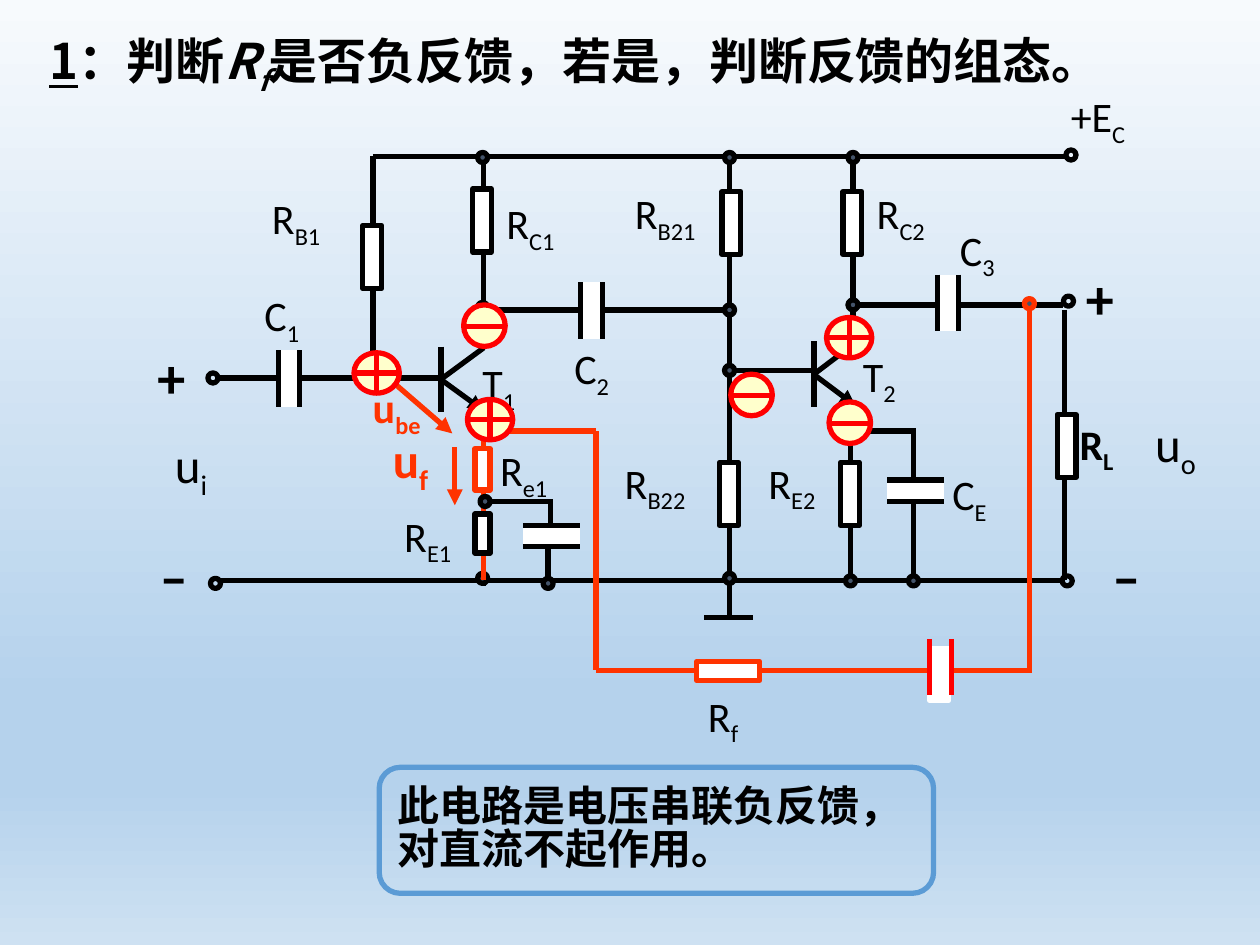
from copy import deepcopy
from pptx import Presentation
from pptx.dml.color import RGBColor
from pptx.enum.shapes import MSO_CONNECTOR, MSO_SHAPE as Kind
from pptx.enum.text import MSO_ANCHOR as Anchor, MSO_AUTO_SIZE as AutoSize, PP_ALIGN as Align
from pptx.oxml.ns import qn
from pptx.util import Inches, Pt
from lxml.etree import SubElement

rgb = RGBColor.from_string
BLACK, WHITE, ORANGE, RED = "000000", "FFFFFF", "FF3300", "FF0000"
SLATE, CREAM, BLUE = "44546A", "FFFFCC", "5B9BD5"
LATIN, CHINESE = "Calibri", "Noto Sans CJK SC"

deck = Presentation()
deck.slide_width, deck.slide_height = Inches(10), Inches(7.5)
COL, ROW = deck.slide_width // 1000, deck.slide_height // 750
slide = deck.slides.add_slide(deck.slide_layouts[5])
shapes = slide.shapes


def wire(x1, y1, x2, y2, color=BLACK, arrow=False):
    line = shapes.add_connector(MSO_CONNECTOR.STRAIGHT, x1 * COL, y1 * ROW, x2 * COL, y2 * ROW)
    line.line.width = Pt(3)
    line.line.color.rgb = rgb(color)
    if arrow:
        SubElement(line._element.spPr.find(qn("a:ln")), qn("a:tailEnd"), type="triangle")
    SubElement(line._element.spPr, qn("a:effectLst"))


def part(kind, x, y, w, h, fill=WHITE, color=BLACK):
    body = shapes.add_shape(kind, x * COL, y * ROW, w * COL, h * ROW)
    body.shadow.inherit = False
    if fill:
        body.fill.solid()
        body.fill.fore_color.rgb = rgb(fill)
    else:
        body.fill.background()
    body.line.width = Pt(3)
    body.line.color.rgb = rgb(color)
    return body


sky = slide.background.fill
sky.gradient()
sky.gradient_angle = 270
stops = slide._element.find(".//" + qn("a:gsLst"))
for _ in range(2):
    stops.append(deepcopy(stops[0]))
tints = [(0, "F7FAFD"), (0.74, "B5D2EC"), (0.83, "B5D2EC"), (1, "CEE1F2")]
for stop, (position, tint) in zip(sky.gradient_stops, tints):
    stop.position = position
    stop.color.rgb = rgb(tint)

question = shapes.title
question.left, question.top, question.width, question.height = 29 * COL, 22 * ROW, 890 * COL, 57 * ROW
question.text_frame.vertical_anchor = Anchor.TOP
question.text_frame.auto_size = AutoSize.NONE
heading = question.text_frame.paragraphs[0]
for words, underline, italic, base in [
    ("1", True, False, 0), ("：判断", False, False, 0), ("R", False, True, 0),
    ("f", False, True, -25000), ("是否负反馈，若是，判断反馈的组态。", False, False, 0),
]:
    run = heading.add_run()
    run.text = words
    run.font.underline, run.font.italic = underline, italic
    run._r.get_or_add_rPr().set("baseline", str(base))

for ends in [
    (350, 275, 350, 327), (350, 301, 384, 276), (384, 326, 384, 465), (384, 277, 384, 124),
    (350, 300, 171, 300), (296, 298, 296, 124), (296, 124, 846, 124),
    (646, 271, 646, 323), (646, 297, 679, 272), (384, 246, 577, 246), (579, 125, 579, 461),
    (646, 294, 579, 294), (675, 321, 675, 461), (677, 277, 677, 125), (675, 242, 844, 242),
    (173, 461, 843, 461), (675, 342, 727, 342), (725, 342, 725, 381), (725, 398, 725, 461),
    (579, 458, 579, 488), (559, 490, 598, 490), (435, 436, 435, 460), (385, 398, 439, 398),
    (437, 415, 437, 398), (845, 246, 845, 460),
]:
    wire(*ends)
for emitter in [(351, 302, 384, 326), (647, 298, 679, 322)]:
    wire(*emitter, arrow=True)

for x, y in [
    (379, 240), (292, 296), (575, 455), (671, 457), (379, 455), (673, 238), (575, 290), (575, 242),
    (575, 121), (673, 121), (379, 121), (671, 335), (721, 457), (431, 459),
]:
    part(Kind.OVAL, x, y, 8, 8, SLATE)
for x, y in [(165, 296), (167, 459), (846, 119), (844, 235), (843, 457)]:
    part(Kind.OVAL, x, y, 8, 8, None)

for feedback in [
    (384, 342, 384, 460), (384, 342, 473, 342), (473, 342, 473, 532),
    (473, 532, 819, 532), (817, 532, 817, 242),
]:
    wire(*feedback, color=ORANGE)
for x, y in [(379, 337), (813, 237)]:
    part(Kind.OVAL, x, y, 8, 8, SLATE, ORANGE)
part(Kind.OVAL, 381, 394, 8, 8, SLATE)

for x, y in [(573, 152), (669, 152), (375, 150), (288, 179), (571, 367), (667, 367), (839, 329)]:
    part(Kind.RECTANGLE, x, y, 15, 50)
part(Kind.RECTANGLE, 377, 408, 12, 31)
part(Kind.RECTANGLE, 377, 356, 12, 33, color=ORANGE)
part(Kind.RECTANGLE, 553, 525, 50, 15, color=ORANGE)

for x, y, dx, dy, color in [
    (221, 278, 2, 2, BLACK), (461, 224, 2, 2, BLACK), (744, 218, 2, 2, BLACK), (738, 507, 0, 8, RED),
]:
    part(Kind.RECTANGLE, x + dx, y + dy, 15, 41, color=WHITE)
    for plate in (x, x + 17):
        wire(plate, y, plate, y + 45, color)
for x, y in [(415, 417), (704, 381)]:
    part(Kind.RECTANGLE, x + 2, y + 1, 41, 15, color=WHITE)
    for plate in (y, y + 17):
        wire(x, plate, x + 45, plate)

for voltage in [(361, 355, 361, 401), (315, 306, 359, 344)]:
    wire(*voltage, color=ORANGE, arrow=True)

for x, y, w, symbol, index, size, bold, color in [
    (302, 336, 73, "u", "f", 28, True, ORANGE), (286, 298, 65, "u", "be", 24, True, ORANGE),
    (115, 267, 71, "+", "", 32, True, BLACK), (117, 425, 71, "–", "", 32, True, BLACK),
    (852, 204, 71, "+", "", 32, True, BLACK), (873, 425, 71, "–", "", 32, True, BLACK),
    (907, 323, 68, "u", "o", 28, False, BLACK), (129, 340, 104, "u", "i", 28, False, BLACK),
    (200, 225, 75, "C", "1", 24, False, BLACK), (446, 267, 104, "C", "2", 24, False, BLACK),
    (752, 173, 104, "C", "3", 24, False, BLACK), (746, 367, 104, "C", "E", 24, False, BLACK),
    (206, 148, 75, "R", "B1", 24, False, BLACK), (392, 152, 75, "R", "C1", 24, False, BLACK),
    (494, 144, 104, "R", "B21", 24, False, BLACK), (486, 358, 104, "R", "B22", 24, False, BLACK),
    (686, 144, 104, "R", "C2", 24, False, BLACK), (600, 358, 104, "R", "E2", 24, False, BLACK),
    (387, 348, 79, "R", "e1", 24, False, BLACK), (311, 400, 89, "R", "E1", 24, False, BLACK),
    (847, 327, 73, "R", "L", 24, True, BLACK), (552, 543, 49, "R", "f", 24, False, BLACK),
    (840, 67, 104, "+E", "C", 24, False, BLACK),
    (373, 279, 104, "T", "1", 24, False, BLACK), (675, 273, 104, "T", "2", 24, False, BLACK),
]:
    frame = shapes.add_textbox(x * COL, y * ROW, w * COL, (size * 1.7 + 9) * ROW).text_frame
    frame.word_wrap = True
    label = frame.paragraphs[0]
    label.font.name, label.font.size, label.font.bold = LATIN, Pt(size), bold
    label.font.color.rgb = rgb(color)
    label.add_run().text = symbol
    if index:
        subscript = label.add_run()
        subscript.text = index
        subscript._r.get_or_add_rPr().set("baseline", "-25000")

answer = part(Kind.FLOWCHART_ALTERNATE_PROCESS, 301, 609, 440, 100, None, BLUE)
answer.text_frame.word_wrap = True
answer.text_frame.vertical_anchor = Anchor.MIDDLE
conclusion = answer.text_frame.paragraphs[0]
conclusion.add_run().text = "此电路是电压串联负反馈，对直流不起作用。"
for sentence, size in [(heading, 28), (conclusion, 24)]:
    sentence.alignment = Align.LEFT
    sentence.line_spacing = 0.84
    sentence.font.name, sentence.font.size, sentence.font.bold = CHINESE, Pt(size), True
    sentence.font.color.rgb = rgb(BLACK)
    latin = sentence._p.pPr.find(qn("a:defRPr")).find(qn("a:latin"))
    eastern = deepcopy(latin)
    eastern.tag = qn("a:ea")
    latin.addnext(eastern)

for x, y in [(281, 280), (371, 317), (656, 252)]:
    part(Kind.FLOWCHART_OR, x, y, 36, 32, CREAM, RED)
for x, y in [(368, 242), (580, 297), (658, 319)]:
    part(Kind.OVAL, x, y, 33, 33, CREAM, RED)
    wire(x - 1, y + 17, x + 33, y + 17, RED)

deck.save("out.pptx")
